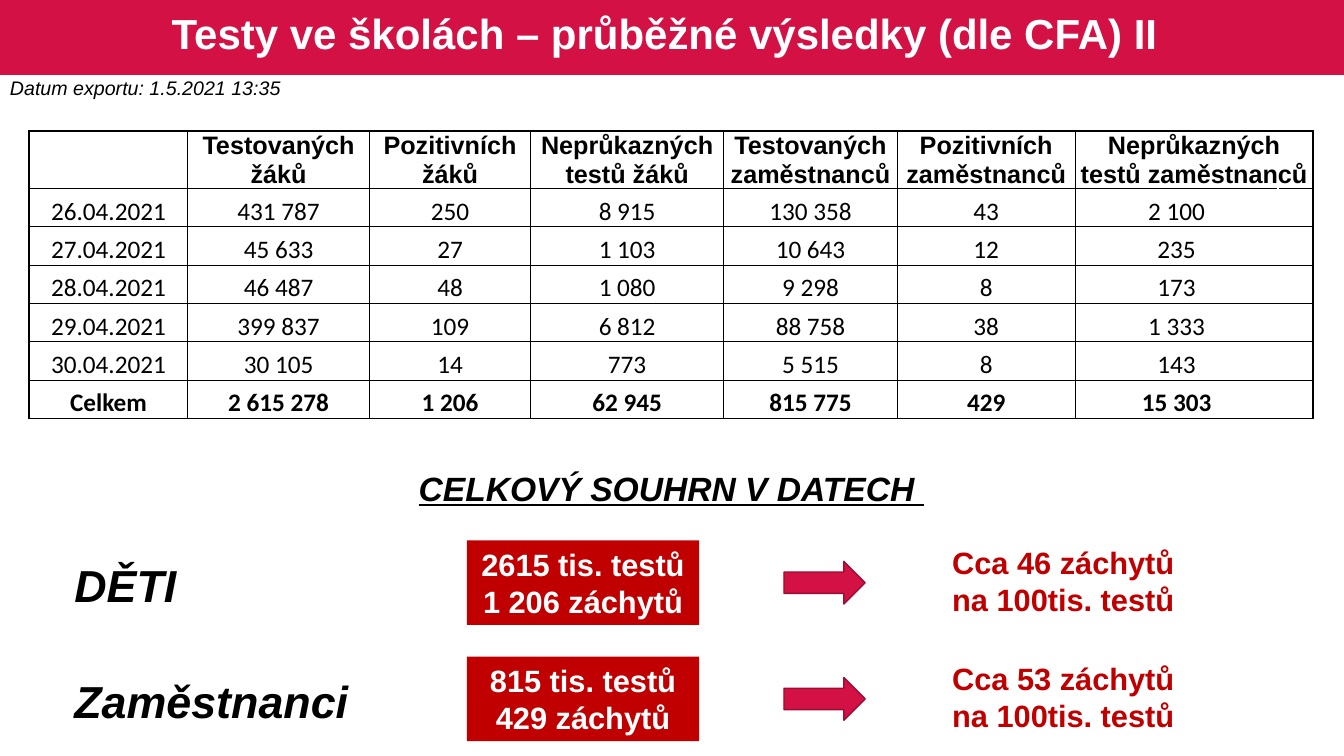
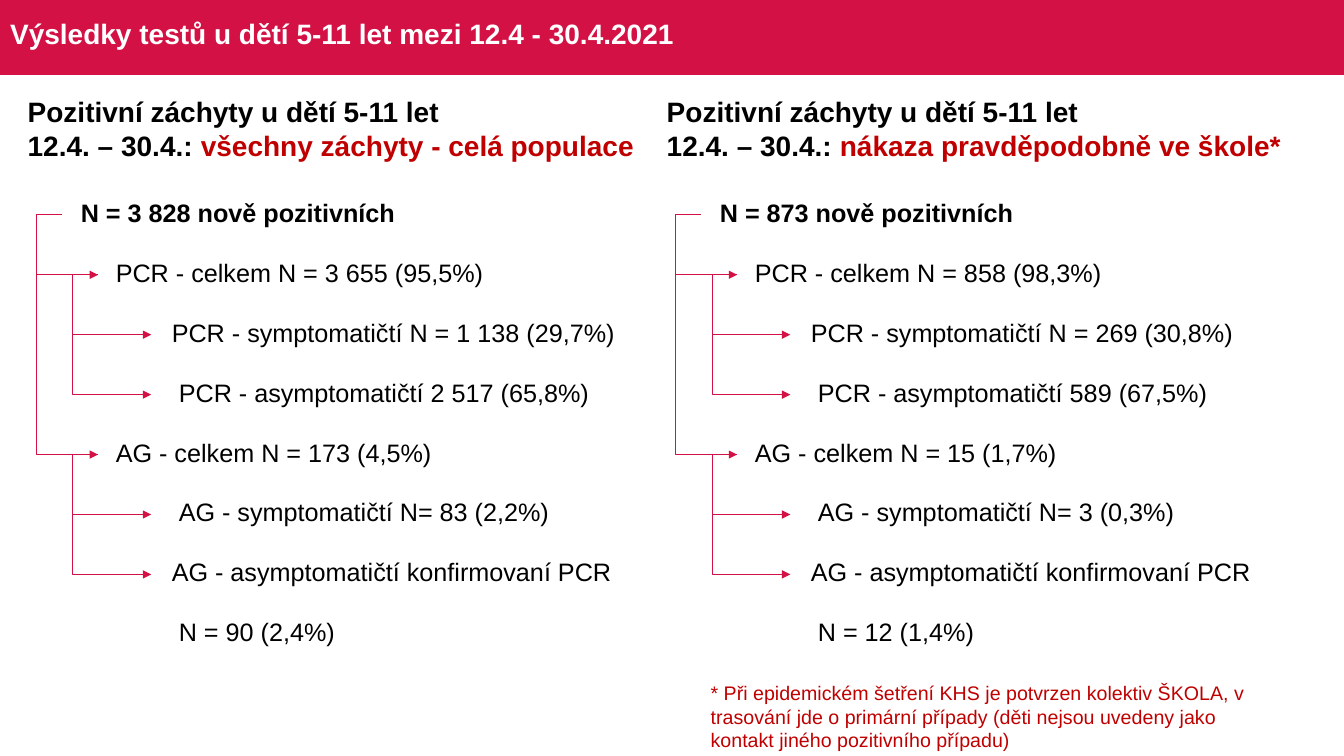
from pptx import Presentation
from pptx.dml.color import RGBColor
from pptx.enum.shapes import MSO_CONNECTOR, MSO_SHAPE
from pptx.enum.text import MSO_ANCHOR, MSO_AUTO_SIZE, PP_ALIGN
from pptx.oxml.ns import qn
from pptx.util import Pt
from lxml.etree import SubElement, Element

INK = {"band": "D31145", "edge": "9C0D33", "red": "C00000", "black": "000000", "white": "FFFFFF"}
BASE = {"name": "Arial", "size": Pt(18), "bold": False, "ink": "black"}
BOLD = BASE | {"bold": True}
LOOK = {
    "title": BOLD | {"size": Pt(30), "ink": "white"},
    "small": BOLD | {"size": Pt(20), "ink": "white"},
    "date": BASE | {"size": Pt(14), "italic": True},
    "note": BASE | {"size": Pt(14), "ink": "red"},
    "sum": BOLD | {"size": Pt(24), "italic": True, "underline": True},
    "group": BOLD | {"size": Pt(32), "italic": True},
    "count": BOLD | {"size": Pt(22), "ink": "white"},
    "rate": BOLD | {"size": Pt(22), "ink": "red"},
    "head": BOLD | {"size": Pt(20)},
    "day": BASE | {"name": "Calibri"},
    "total": BOLD | {"name": "Calibri"},
}

TESTS = [
    ("", "Testovaných\nžáků", "Pozitivních žáků", "Neprůkazných testů žáků",
     "Testovaných zaměstnanců", "Pozitivních zaměstnanců", "Neprůkazných testů zaměstnanců"),
    ("26.04.2021", "431 787", "250", "8 915", "130 358", "43", "2 100"),
    ("27.04.2021", "45 633", "27", "1 103", "10 643", "12", "235"),
    ("28.04.2021", "46 487", "48", "1 080", "9 298", "8", "173"),
    ("29.04.2021", "399 837", "109", "6 812", "88 758", "38", "1 333"),
    ("30.04.2021", "30 105", "14", "773", "5 515", "8", "143"),
    ("Celkem", "2 615 278", "1 206", "62 945", "815 775", "429", "15 303"),
]
WIDTHS = [113, 130, 115, 138, 124, 127, 145, 25]
HIGHS = [41] + [27.4] * 6

GROUPS = [
    ("DĚTI", ["2615 tis. testů", "1 206 záchytů"], "Cca 46 záchytů na 100tis. testů"),
    ("Zaměstnanci", ["815 tis. testů", "429 záchytů"], "Cca 53 záchytů na 100tis. testů"),
]
STEP = 83

TREES = [
    ("všechny záchyty - celá populace", [
        "N = 3 828 nově pozitivních", "PCR - celkem N = 3 655 (95,5%)",
        "PCR - symptomatičtí N = 1 138 (29,7%)", "PCR - asymptomatičtí 2 517 (65,8%)",
        "AG - celkem N = 173 (4,5%)", "AG - symptomatičtí N= 83 (2,2%)",
        "AG - asymptomatičtí konfirmovaní PCR", "N = 90 (2,4%)"]),
    ("nákaza pravděpodobně ve škole*", [
        "N = 873 nově pozitivních", "PCR - celkem N = 858 (98,3%)",
        "PCR - symptomatičtí N = 269 (30,8%)", "PCR - asymptomatičtí 589 (67,5%)",
        "AG - celkem N = 15 (1,7%)", "AG - symptomatičtí N= 3 (0,3%)",
        "AG - asymptomatičtí konfirmovaní PCR", "N = 12 (1,4%)"]),
]
INDENTS = [0, 25, 65, 70, 25, 70, 65, 70]
LINKS = [(0, 4), (1, 2), (1, 3), (4, 5), (4, 6), (0, 1)]
TOP, ROW, SHIFT = 131, 42.8, 456.5
NOTE = ("* Při epidemickém šetření KHS je potvrzen kolektiv ŠKOLA, v trasování jde o primární "
        "případy (děti nejsou uvedeny jako kontakt jiného pozitivního případu)")


def tint(name):
    return RGBColor.from_string(INK[name])


def style(font, look):
    for key, val in look.items():
        if key == "ink":
            font.color.rgb = tint(val)
        else:
            setattr(font, key, val)


def write(frame, lines, look, align=PP_ALIGN.LEFT):
    for num, line in enumerate(lines):
        para = frame.add_paragraph() if num else frame.paragraphs[0]
        para.alignment = align
        for text, more in [(line, {})] if isinstance(line, str) else line:
            run = para.add_run()
            run.text = text
            style(run.font, look | more)


def label(slide, place, lines, look, align=PP_ALIGN.LEFT):
    frame = slide.shapes.add_textbox(*map(Pt, place)).text_frame
    frame.word_wrap = True
    write(frame, lines, LOOK[look], align)


def block(slide, kind, place, fill, edge=None):
    shape = slide.shapes.add_shape(kind, *map(Pt, place))
    shape.shadow.inherit = False
    shape.fill.solid()
    shape.fill.fore_color.rgb = tint(fill)
    if edge:
        shape.line.color.rgb = tint(edge)
        shape.line.width = Pt(1)
    else:
        shape.line.fill.background()
    shape.text_frame.word_wrap = True
    return shape


def start(deck, text, left, look, align):
    slide = deck.slides.add_slide(deck.slide_layouts[5])
    title = slide.shapes.title
    title.left, title.top, title.width, title.height = map(Pt, (left, 3, 934, 45))
    frame = title.text_frame
    frame.auto_size = MSO_AUTO_SIZE.NONE
    frame.word_wrap = True
    frame.vertical_anchor = MSO_ANCHOR.MIDDLE
    write(frame, [text], LOOK[look], align)
    frame.paragraphs[0].line_spacing = 0.9
    return slide


def grid(slide, left, top, widths, highs):
    place = (left, top, sum(widths), sum(highs))
    table = slide.shapes.add_table(len(highs), len(widths), *map(Pt, place)).table
    table.first_row = table.horz_banding = False
    for col, wide in zip(table.columns, widths):
        col.width = Pt(wide)
    for row, high in zip(table.rows, highs):
        row.height = Pt(high)
    for cell in table.iter_cells():
        cell.fill.background()
        cell.margin_left = cell.margin_right = cell.margin_top = Pt(0.7)
        cell.margin_bottom = 0
    return table


def frame_cell(cell, sides):
    props = cell._tc.get_or_add_tcPr()
    for num, (side, wide) in enumerate(sides.items()):
        line = Element(qn("a:ln" + side), w=str(Pt(wide)))
        SubElement(SubElement(line, qn("a:solidFill")), qn("a:srgbClr"), val=INK["black"])
        props.insert(num, line)


def fill_tests(slide):
    table = grid(slide, 21, 93.6, WIDTHS, HIGHS)
    last = len(WIDTHS) - 1
    for r, row in enumerate(TESTS):
        look = LOOK["total"] if r == len(TESTS) - 1 else LOOK["day"] if r else BOLD
        for c, text in enumerate(row + ("",)):
            cell = table.cell(r, c)
            if r:
                cell.vertical_anchor = MSO_ANCHOR.BOTTOM
            else:
                cell.margin_left = cell.margin_right = Pt(3.6)
            if text:
                write(cell.text_frame, text.split("\n"), look, PP_ALIGN.CENTER)
            sides = {"L": 1 if c else 1.5, "R": 1, "T": 1 if r else 1.5, "B": 1}
            if r and c >= last - 1:
                del sides["L" if c == last else "R"]
            frame_cell(cell, sides)
    table.cell(0, last - 1).merge(table.cell(0, last))


def link(slide, x1, y1, x2, y2, bend):
    line = slide.shapes.add_connector(MSO_CONNECTOR.ELBOW, *map(Pt, (x1, y1, x2, y2)))
    line.line.color.rgb = tint("band")
    line.line.width = Pt(0.5)
    props = line._element.spPr
    SubElement(props.find(qn("a:ln")), qn("a:tailEnd"), type="triangle")
    SubElement(props, qn("a:effectLst"))
    guides = props.find(qn("a:prstGeom")).find(qn("a:avLst"))
    ratio = round((bend - x1) / (x2 - x1) * 100000)
    SubElement(guides, qn("a:gd"), name="adj1", fmla=f"val {ratio}")


def draw_tree(slide, shift, head, rows):
    table = grid(slide, 57 + shift, TOP, [433], [ROW] * len(rows))
    for num, (text, indent) in enumerate(zip(rows, INDENTS)):
        cell = table.cell(num, 0)
        cell.vertical_anchor = MSO_ANCHOR.MIDDLE
        cell.margin_left = Pt(0.7 + indent)
        write(cell.text_frame, [text], BASE if num else BOLD)
    lines = ["Pozitivní záchyty u dětí 5-11 let",
             [("12.4. – 30.4.: ", {}), (head, {"ink": "red"})]]
    label(slide, (12.7 + shift, 64, 462, 55), lines, "head")
    for root, leaf in LINKS:
        x1, x2 = (70, 108) if root else (44, 70)
        y1, y2 = (TOP + 22.5 + ROW * num for num in (root, leaf))
        link(slide, x1 + shift, y1, x2 + shift, y2, x1 - 18 + shift)


def main():
    deck = Presentation()
    deck.slide_width, deck.slide_height = Pt(960), Pt(540)

    slide = start(deck, "Testy ve školách – průběžné výsledky (dle CFA) II", 8, "title", PP_ALIGN.CENTER)
    band = block(slide, MSO_SHAPE.RECTANGLE, (0, 0, 960, 53.5), "band")
    deck.slide_layouts[5].shapes.element.insert(2, band.element)

    fill_tests(slide)
    label(slide, (25, 330.5, 909, 36), ["CELKOVÝ SOUHRN V DATECH "], "sum", PP_ALIGN.CENTER)
    for num, (group, counts, rate) in enumerate(GROUPS):
        down = num * STEP
        box = block(slide, MSO_SHAPE.RECTANGLE, (333.5, 386 + down, 166, 60.5), "red")
        write(box.text_frame, counts, LOOK["count"], PP_ALIGN.CENTER)
        block(slide, MSO_SHAPE.RIGHT_ARROW, (560, 401 + down, 58, 30.5), "band", "edge")
        box = block(slide, MSO_SHAPE.RECTANGLE, (662, 384.5 + down, 195, 60.5), "white")
        write(box.text_frame, [rate], LOOK["rate"], PP_ALIGN.CENTER)
        label(slide, (46, 394.5 + down, 218, 46), [group], "group")
    label(slide, (0, 51, 217, 24), ["Datum exportu: 1.5.2021 13:35"], "date")

    slide = start(deck, "Výsledky testů u dětí 5-11 let mezi 12.4 - 30.4.2021", 0, "small", PP_ALIGN.LEFT)
    for num, (head, rows) in enumerate(TREES):
        draw_tree(slide, num * SHIFT, head, rows)
    label(slide, (500.5, 483, 419, 58), [NOTE], "note")

    deck.save("out.pptx")


if __name__ == "__main__":
    main()
